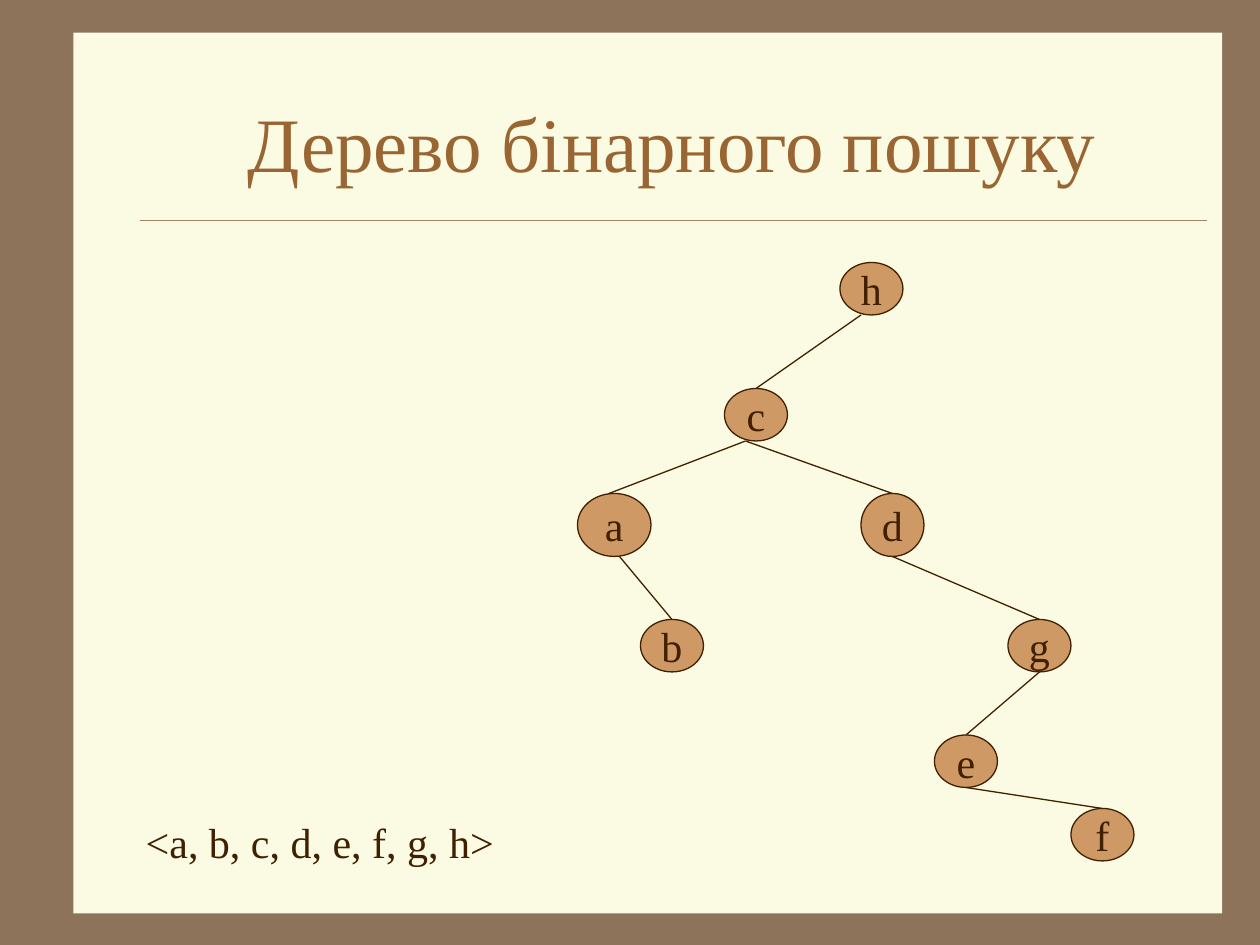
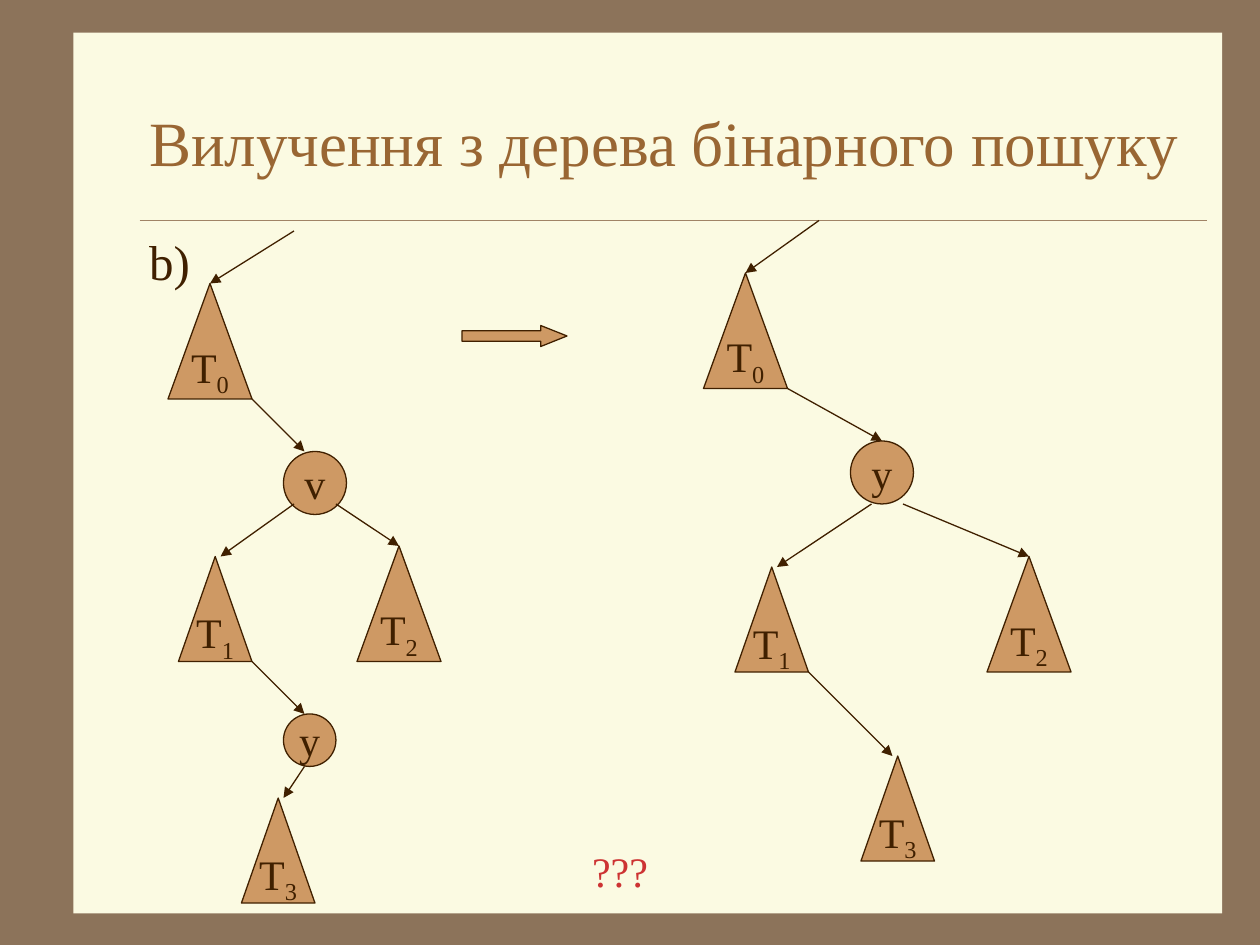
from lxml import etree
from pptx import Presentation
from pptx.dml.color import RGBColor
from pptx.enum.shapes import MSO_CONNECTOR, MSO_SHAPE
from pptx.enum.text import MSO_ANCHOR, MSO_AUTO_SIZE, PP_ALIGN
from pptx.oxml.ns import qn
from pptx.util import Inches, Pt

COLUMNS, ROWS = 120, 90
WIDTH, HEIGHT = Inches(10), Inches(7.5)
CELL = WIDTH // COLUMNS

FRAME_BROWN = RGBColor(0x8C, 0x73, 0x5A)
PAPER = RGBColor(0xFB, 0xFA, 0xE2)
RULE_TAN = RGBColor(0xA0, 0x83, 0x66)
TITLE_BROWN = RGBColor(0x99, 0x66, 0x33)
NODE_FILL = RGBColor(0xCE, 0x99, 0x64)
INK = RGBColor(0x40, 0x20, 0x00)
RED = RGBColor(0xCD, 0x33, 0x33)
FONT = "Times New Roman"

OVAL, TRIANGLE = MSO_SHAPE.OVAL, MSO_SHAPE.ISOSCELES_TRIANGLE
RECTANGLE, RIGHT_ARROW = MSO_SHAPE.RECTANGLE, MSO_SHAPE.RIGHT_ARROW
STRAIGHT = MSO_CONNECTOR.STRAIGHT
TOP, MIDDLE = MSO_ANCHOR.TOP, MSO_ANCHOR.MIDDLE
LEFT, CENTER = PP_ALIGN.LEFT, PP_ALIGN.CENTER
NO_AUTOFIT = MSO_AUTO_SIZE.NONE
TITLE_AND_BODY, TITLE_ONLY = 1, 5

# Places are (column, row, columns wide, rows high).
TITLE_PLACE = (13, 6, 102, 15)
BODY_PLACE = (13, 21, 102, 64)
PAPER_PLACE = (7, 3.1, 109.4, 83.9)

SEARCH_TREE = {
    "h": (80, 25, 6, 5),
    "c": (69, 37, 6, 5),
    "a": (55, 47, 7, 6),
    "d": (82, 47, 6, 6),
    "b": (61, 59, 6, 5),
    "g": (96, 59, 6, 5),
    "e": (89, 70, 6, 5),
    "f": (102, 77, 6, 5),
}
# Parent, child, shift of the start from the parent's middle
BRANCHES = [("h", "c", -1), ("c", "a", -1), ("c", "d", -1), ("a", "b", 1),
            ("d", "g", 0), ("g", "e", 0), ("e", "f", 0)]

TREE_BEFORE = [
    ("T0", (16, 27, 8, 11)), ("v", (27, 43, 6, 6)), ("T1", (17, 53, 7, 10)),
    ("T2", (34, 52, 8, 11)), ("y", (27, 68, 5, 5)), ("T3", (23, 76, 7, 10)),
]
ARROWS_BEFORE = [
    ((28, 22), (20, 27)), ((24, 38), (29, 43)), ((28, 48), (21, 53)),
    ((32, 48), (38, 52)), ((24, 63), (29, 68)), ((29, 73), (27, 76)),
]
TREE_AFTER = [
    ("T0", (67, 26, 8, 11)), ("y", (81, 42, 6, 6)), ("T1", (70, 54, 7, 10)),
    ("T2", (94, 53, 8, 11)), ("T3", (82, 72, 7, 10)),
]
ARROWS_AFTER = [
    ((78, 21), (71, 26)), ((75, 37), (84, 42)), ((83, 48), (74, 54)),
    ((86, 48), (98, 53)), ((77, 64), (85, 72)),
]


def cells(numbers):
    return [int(number * CELL) for number in numbers]


def add_span(para, text, size, color):
    span = para.add_run()
    span.text = text
    span.font.name = FONT
    span.font.size = Pt(size)
    span.font.color.rgb = color
    return span


def fill_placeholder(holder, place, text, size, color, align, anchor):
    holder.left, holder.top, holder.width, holder.height = cells(place)
    frame = holder.text_frame
    frame.auto_size = NO_AUTOFIT
    frame.vertical_anchor = anchor
    para = frame.paragraphs[0]
    para.alignment = align
    para.space_before = Pt(0)
    add_span(para, text, size, color)
    return para


def remove_bullet(para):
    properties = para._p.get_or_add_pPr()
    properties.set("marL", "0")
    properties.set("indent", "0")
    etree.SubElement(properties, qn("a:buNone"))


def add_figure(page, preset, place, fill=NODE_FILL, line=INK):
    figure = page.shapes.add_shape(preset, *cells(place))
    figure.shadow.inherit = False
    figure.fill.solid()
    figure.fill.fore_color.rgb = fill
    if line is None:
        figure.line.fill.background()
    else:
        figure.line.color.rgb = line
        figure.line.width = Pt(0.75)
    return figure


def add_line(page, start, end, color=INK, weight=0.75, arrow=False):
    line = page.shapes.add_connector(STRAIGHT, *cells(start), *cells(end))
    line.line.color.rgb = color
    line.line.width = Pt(weight)
    if arrow:
        etree.SubElement(line.line._get_or_add_ln(), qn("a:tailEnd"), type="triangle")
    etree.SubElement(line._element.spPr, qn("a:effectLst"))
    return line


def add_node(page, label, place):
    """Draw a vertex as an oval, or a subtree such as T0 as a triangle."""
    letter, index = label[0], label[1:]
    node = add_figure(page, TRIANGLE if index else OVAL, place)
    frame = node.text_frame
    frame.word_wrap = False
    frame.vertical_anchor = MIDDLE
    para = frame.paragraphs[0]
    para.alignment = CENTER
    add_span(para, letter, 24, INK)
    if index:
        span = add_span(para, index, 24, INK)
        span._r.get_or_add_rPr().set("baseline", "-25000")


def add_note(page, place, text, color, align):
    box = page.shapes.add_textbox(*cells(place))
    box.text_frame.word_wrap = True
    para = box.text_frame.paragraphs[0]
    para.alignment = align
    add_span(para, text, 24, color)


def add_page(deck, layout, title, size, align):
    """Add a slide with the brown frame, the paper, the rule and a title."""
    page = deck.slides.add_slide(deck.slide_layouts[layout])
    page.background.fill.solid()
    page.background.fill.fore_color.rgb = FRAME_BROWN
    paper = add_figure(page, RECTANGLE, PAPER_PLACE, PAPER, None)
    rule = add_line(page, (13.3, 21), (115, 21), RULE_TAN, 0.25)
    for position, backdrop in enumerate((paper, rule), start=2):
        page.shapes._spTree.insert(position, backdrop._element)
    fill_placeholder(page.shapes.title, TITLE_PLACE, title, size, TITLE_BROWN,
                     align, MIDDLE)
    return page


def add_search_tree_page(deck):
    page = add_page(deck, TITLE_ONLY, "Дерево бінарного пошуку", 44, CENTER)
    for label, place in SEARCH_TREE.items():
        add_node(page, label, place)
    for parent, child, shift in BRANCHES:
        left, top, width, height = SEARCH_TREE[parent]
        child_left, child_top, child_width, _ = SEARCH_TREE[child]
        add_line(page, (left + width // 2 + shift, top + height),
                 (child_left + child_width // 2, child_top))
    add_note(page, (12.7, 77.2, 36.8, 6), "<a, b, c, d, e, f, g, h>", INK, LEFT)


def add_removal_page(deck):
    page = add_page(deck, TITLE_AND_BODY, "Вилучення з дерева бінарного пошуку",
                    36, LEFT)
    body = page.placeholders[1]
    remove_bullet(fill_placeholder(body, BODY_PLACE, "b)", 28, INK, LEFT, TOP))
    body.text_frame.margin_top = Inches(0.09)
    for nodes, arrows in ((TREE_BEFORE, ARROWS_BEFORE), (TREE_AFTER, ARROWS_AFTER)):
        for label, place in nodes:
            add_node(page, label, place)
        for start, end in arrows:
            add_line(page, start, end, arrow=True)
    becomes = add_figure(page, RIGHT_ARROW, (44, 31, 10, 2))
    becomes.adjustments[1] = 1.25
    add_note(page, (45.8, 79.9, 26.5, 6), "???", RED, CENTER)


def main():
    deck = Presentation()
    deck.slide_width, deck.slide_height = WIDTH, HEIGHT
    add_search_tree_page(deck)
    add_removal_page(deck)
    deck.save("out.pptx")


if __name__ == "__main__":
    main()
